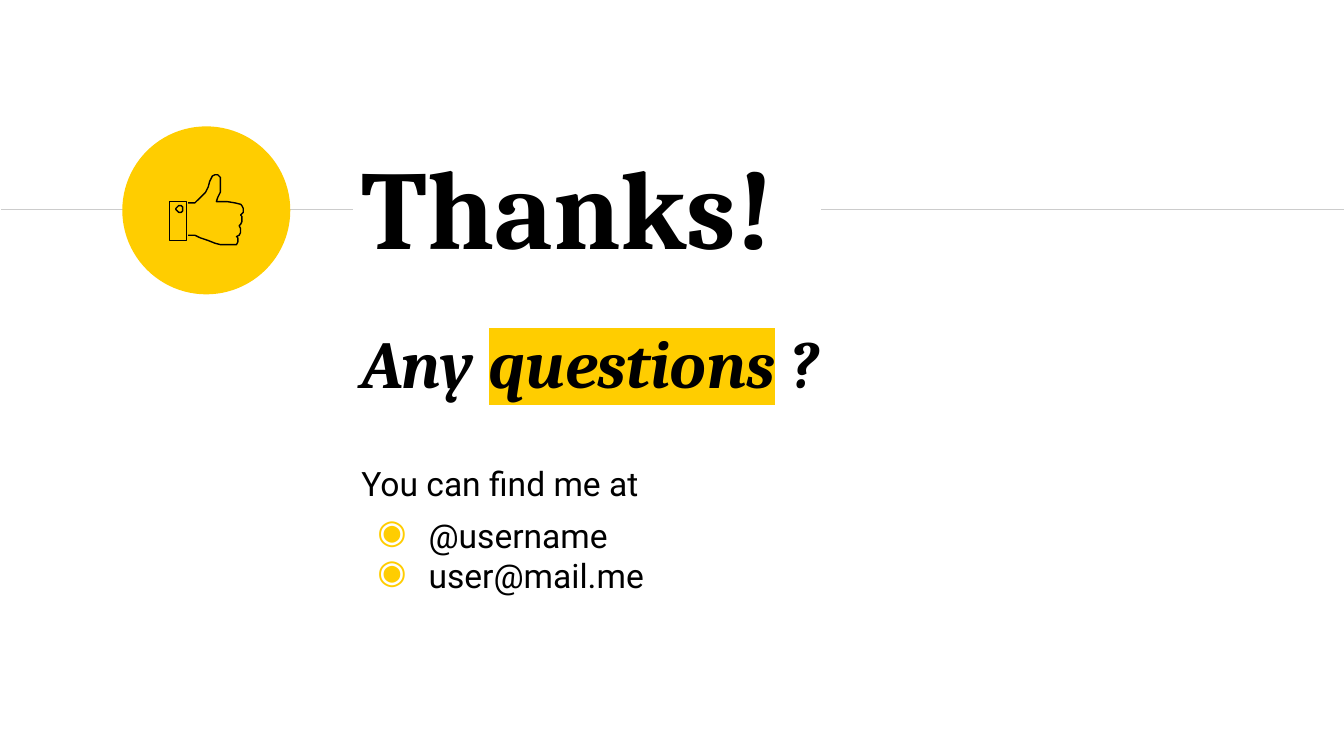
from math import cos, pi, sin

from lxml import etree
from pptx import Presentation
from pptx.dml.color import RGBColor
from pptx.enum.shapes import MSO_CONNECTOR, MSO_SHAPE
from pptx.enum.text import MSO_ANCHOR, MSO_AUTO_SIZE, PP_ALIGN
from pptx.oxml.ns import qn
from pptx.util import Inches, Pt

STRAIGHT = MSO_CONNECTOR.STRAIGHT
OVAL = MSO_SHAPE.OVAL
TOP, MIDDLE = MSO_ANCHOR.TOP, MSO_ANCHOR.MIDDLE
LEFT = PP_ALIGN.LEFT
NO_AUTOFIT = MSO_AUTO_SIZE.NONE

YELLOW = RGBColor(0xFF, 0xCD, 0x00)
GREY = RGBColor(0xCC, 0xCC, 0xCC)
BLACK = RGBColor(0x00, 0x00, 0x00)

TEXT_LEFT = Inches(2.59)
RULE_Y = Inches(1.56)
HUNDREDTH = Inches(0.01)


def add_color(parent, tag):
    """Add a yellow colour element under the given tag."""
    element = etree.SubElement(parent, qn(tag))
    etree.SubElement(element, qn("a:srgbClr")).set("val", str(YELLOW))


def prepare_frame(frame, anchor):
    frame.word_wrap = True
    frame.auto_size = NO_AUTOFIT
    frame.vertical_anchor = anchor
    frame.margin_left = frame.margin_right = Inches(0.1)
    frame.margin_top = frame.margin_bottom = Inches(0.1)


presentation = Presentation()
presentation.slide_width = Inches(10)
presentation.slide_height = presentation.slide_width * 9 // 16
slide = presentation.slides.add_slide(presentation.slide_layouts[5])
shapes = slide.shapes

# Rules on both sides of the title
for start, end in ((0.01, 2.63), (6.11, 10)):
    rule = shapes.add_connector(STRAIGHT, Inches(start), RULE_Y, Inches(end), RULE_Y)
    rule.line.color.rgb = GREY
    rule.line.width = Pt(0.75)
    etree.SubElement(rule._element.spPr, qn("a:effectLst"))

# Title
title = shapes.title
title.left, title.top = TEXT_LEFT, Inches(0.89)
title.width, title.height = Inches(5.37), Inches(1.27)
prepare_frame(title.text_frame, MIDDLE)
title.text_frame.text = "Thanks!"
paragraph = title.text_frame.paragraphs[0]
paragraph.alignment = LEFT
paragraph.font.name = "Cambria"
paragraph.font.size = Pt(60)
paragraph.font.bold = True
paragraph.font.color.rgb = BLACK

# Question and contact details: text, font, size, space before, bullet
body = shapes.add_textbox(TEXT_LEFT, Inches(2.29), Inches(5.49), Inches(0.86))
frame = body.text_frame
prepare_frame(frame, TOP)
rows = [
    (("Any ", "questions", " ?"), "Cambria", 36, 6, False),
    (("You can find me at",), "Roboto", 18, 33, False),
    (("@username",), "Roboto", 18, 6, True),
    (("user@mail.me",), "Roboto", 18, 0, True),
]
for index, (texts, font_name, size, space, bulleted) in enumerate(rows):
    paragraph = frame.add_paragraph() if index else frame.paragraphs[0]
    for text in texts:
        run = paragraph.add_run()
        run.text = text
        if text == "questions":
            add_color(run._r.get_or_add_rPr(), "a:highlight")
    if bulleted:
        properties = paragraph._p.get_or_add_pPr()
        properties.set("marL", str(Inches(0.5)))
        properties.set("indent", str(-Inches(0.38)))
        add_color(properties, "a:buClr")
        etree.SubElement(properties, qn("a:buChar")).set("char", "◉")
    paragraph.space_before = Pt(space)
    paragraph.font.name = font_name
    paragraph.font.size = Pt(size)
    paragraph.font.bold = paragraph.font.italic = font_name == "Cambria"
    paragraph.font.color.rgb = BLACK

# Badge
badge = shapes.add_shape(OVAL, Inches(0.91), Inches(0.94), Inches(1.25), Inches(1.25))
badge.shadow.inherit = False
badge.fill.solid()
badge.fill.fore_color.rgb = YELLOW
badge.line.fill.background()

# Thumbs-up icon, in hundredths of an inch
icon = shapes.add_group_shape()

cuff = icon.shapes.build_freeform(126, 150, scale=HUNDREDTH)
cuff.add_line_segments([(126, 179), (139, 179), (139, 150)], close=True)
button = [(133.8 + 2.5 * cos(pi * step / 12), 155.5 + 2.5 * sin(pi * step / 12))
          for step in range(24)]
cuff.move_to(*button[0])
cuff.add_line_segments(button[1:], close=True)

hand = icon.shapes.build_freeform(140, 175, scale=HUNDREDTH)
hand.add_line_segments([
    # Lower edge of the palm
    (145, 175), (149, 177), (155, 179), (160, 181), (164, 182), (169, 182.4),
    (174, 182), (176, 181.5), (177, 180),
    # Four fingertips
    (177, 177), (176.3, 176), (178, 175), (179, 173), (179, 170), (178, 168),
    (179, 167), (180, 165), (180.3, 163), (180, 161), (179, 160),
    (180, 159), (181, 158), (181.3, 155), (180.5, 153), (179, 152),
    # Knuckles and thumb
    (175, 151), (169, 150), (161, 150), (162.5, 147), (163.5, 143), (164, 137),
    (164, 133), (163.5, 131.5), (162, 130.4), (160, 130.2), (158, 131),
    (156, 135), (155, 139), (153, 143), (151, 145), (148, 148), (145, 151),
    (140, 151),
], close=False)

for outline in (cuff, hand):
    shape = outline.convert_to_shape()
    shape.shadow.inherit = False
    shape.fill.background()
    shape.line.color.rgb = BLACK
    shape.line.width = Pt(0.75)

presentation.save("out.pptx")
